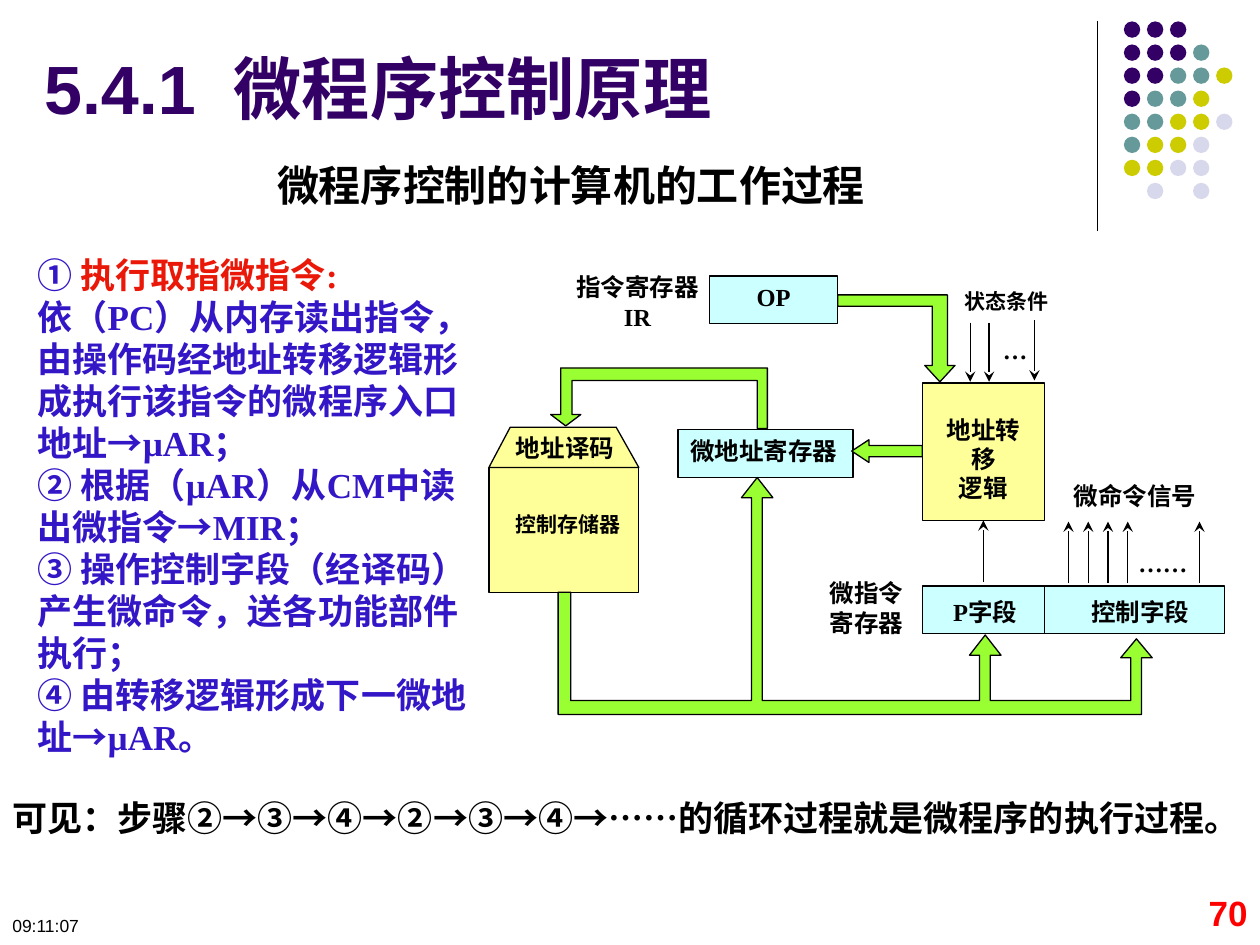
from lxml import etree
from pptx import Presentation
from pptx.dml.color import RGBColor
from pptx.enum.shapes import MSO_CONNECTOR, MSO_SHAPE
from pptx.enum.text import MSO_ANCHOR, PP_ALIGN
from pptx.oxml.ns import qn
from pptx.util import Inches, Pt

LEFT, CENTER, RIGHT = PP_ALIGN.LEFT, PP_ALIGN.CENTER, PP_ALIGN.RIGHT
TOP = MSO_ANCHOR.TOP
RECT, OVAL, ARROW = MSO_SHAPE.RECTANGLE, MSO_SHAPE.OVAL, MSO_SHAPE.LEFT_ARROW
STRAIGHT = MSO_CONNECTOR.STRAIGHT
SERIF, SANS = "Times New Roman", "Arial"
C = {
    "black": "000000", "purple": "330066", "teal": "669999", "olive": "CCCC00",
    "lilac": "D8D8EC", "blue": "3316C6", "red": "EA1808", "number": "FF0000",
    "cyan": "CCFFFF", "yellow": "FFFF99", "green": "99FF33",
}

prs = Presentation()
prs.slide_width, prs.slide_height = Inches(10), Inches(7.5)
U = prs.slide_width // 100
s = prs.slides.add_slide(prs.slide_layouts[5])


def write(tf, paras, size=14, color="black", align=CENTER, font=SERIF, bold=True, ins=(1, 0.5, 1, 0.5)):
    box = dict(zip(("margin_left", "margin_top", "margin_right", "margin_bottom"), (int(v * U) for v in ins)))
    for name, value in {**box, "word_wrap": True, "vertical_anchor": TOP}.items():
        setattr(tf, name, value)
    for i, runs in enumerate(paras):
        p = tf.add_paragraph() if i else tf.paragraphs[0]
        p.alignment = align
        for text, face, hue in [(runs, font, color)] if isinstance(runs, str) else runs:
            r = p.add_run()
            r.text = text
            for name, value in {"name": face, "size": Pt(size), "bold": bold}.items():
                setattr(r.font, name, value)
            r.font.color.rgb = RGBColor.from_string(C[hue])


def paint(sp, fill=None, line="black"):
    if fill:
        sp.shadow.inherit = False
        sp.fill.solid()
        sp.fill.fore_color.rgb = RGBColor.from_string(C[fill])
    else:
        etree.SubElement(sp._element.spPr, qn("a:effectLst"))
    if line:
        sp.line.color.rgb = RGBColor.from_string(C[line])
        sp.line.width = Pt(0.75)
    else:
        sp.line.fill.background()


title = s.shapes.title
for name, value in {"left": 2.5, "top": 3.2, "width": 60, "height": 7.1}.items():
    setattr(title, name, int(value * U))
write(title.text_frame, [[(t, SANS, "purple") for t in ("5.4.1", " ", "微程序控制原理")]], 39, align=LEFT)
title.text_frame.paragraphs[0].runs[1]._r.get_or_add_rPr().set("spc", "1080")

DOTS = ["ppp", "pppt", "pptto", "ptto", "ttool", "tool", "ooll", " l l"]
HUES = {"p": "purple", "t": "teal", "o": "olive", "l": "lilac"}
for row, marks in enumerate(DOTS):
    for col, mark in enumerate(marks):
        if mark in HUES:
            sp = s.shapes.add_shape(OVAL, int((89.2 + 1.83 * col) * U), int((1.7 + 1.83 * row) * U),
                                    int(1.3 * U), int(1.3 * U))
            paint(sp, HUES[mark], None)

STEPS = [
    [("① ", SERIF, "blue"), ("执行取指微指令:", SERIF, "red")],
    "依（PC）从内存读出指令，由操作码经地址转移逻辑形成执行该指令的微程序入口地址→µAR；",
    [("② 根据（", SANS, "blue"), ("µAR", SERIF, "blue"), ("）从", SANS, "blue"), ("CM", SERIF, "blue"),
     ("中读出微指令→", SANS, "blue"), ("MIR", SERIF, "blue"), ("；", SANS, "blue")],
    [("③ 操作控制字段（经译码）产生微命令，送各功能部件执行；", SANS, "blue")],
    "④ 由转移逻辑形成下一微地址→µAR。",
]
FLUSH = {"ins": (0, 0, 0, 0)}
SMALL = {**FLUSH, "size": 12}

trapezoid = [(40.5, 33.9), (48.9, 33.9), (50.7, 37.1), (38.8, 37.1)]
op_to_logic = [(74.6, 30.3), (73.4, 29), (74, 29), (74, 24.3), (66.5, 24.3), (66.5, 23.4),
               (75.2, 23.4), (75.2, 29), (75.8, 29)]
register_to_decoder = [(60.1, 34), (60.1, 30.2), (45.4, 30.2), (45.4, 32.9), (46.1, 32.9), (44.9, 33.8),
                       (43.7, 32.9), (44.5, 32.9), (44.5, 29.2), (60.9, 29.2), (60.9, 34)]
bus = [(45.3, 47), (45.3, 55.6)]
for x, tip, neck in [(60.1, 37.9, 39.5), (78.2, 50.4, 52), (90.2, 50.7, 52.2)]:
    bus += [(x - 0.45, 55.6), (x - 0.45, neck), (x - 1.25, neck), (x, tip), (x + 1.25, neck), (x + 0.4, neck)]
    bus.append((x + 0.4, 55.6 if x < 90 else 56.7))
bus += [(44.3, 56.7), (44.3, 47)]

boxes = {}
for key, at, fill, line, paras, fmt in [
    ("fields", (73.2, 46.5, 24, 3.8), "cyan", "black", [], {}),
    ("logic", (73.2, 30.4, 9.7, 10.9), "yellow", "black", ["地址转移", "逻辑"], {"ins": (1, 2.5, 1, 0.5)}),
    ("op", (56.3, 21.9, 10.2, 3.8), "cyan", "black", ["OP"], {}),
    ("register", (53.8, 34.1, 13.9, 3.8), "cyan", "black", ["微地址寄存器"], {"align": LEFT}),
    ("store", (38.8, 37.1, 11.9, 9.9), "yellow", "black", [], {}),
]:
    boxes[key] = s.shapes.add_shape(RECT, *(int(v * U) for v in at))
    paint(boxes[key], fill, line)
    write(boxes[key].text_frame, paras, **fmt)

sp = s.shapes.add_shape(ARROW, *(int(v * U) for v in (67.6, 34.9, 5.6, 1.8)))
sp.adjustments[0], sp.adjustments[1] = 0.5, 0.76
paint(sp, "green")

for points, fill in [(trapezoid, "yellow"), (op_to_logic, "green"), (register_to_decoder, "green"), (bus, "green")]:
    fb = s.shapes.build_freeform(int(points[0][0] * U), int(points[0][1] * U))
    fb.add_line_segments([(int(x * U), int(y * U)) for x, y in points[1:]], close=True)
    paint(fb.convert_to_shape(), fill)

lines = [(87.1, 1.7, 18.3, False), (82.9, 46.6, 50.3, False), (78.1, 46.2, 41.3, True)]
lines += [(84.8 + 1.57 * i, 46.3, 41.4, True) for i in range(4)] + [(95.2, 46.3, 41.4, True)]
lines += [(77, 25.6, 30.3, True), (78.5, 25.6, 30.3, True), (82.1, 25.4, 30.2, True)]
for x, start, end, head in lines:
    cx = s.shapes.add_connector(STRAIGHT, int(x * U), int(start * U), int(x * U), int(end * U))
    if x == 78.1:
        cx.end_connect(boxes["logic"], 2)
        cx.begin_x = cx.end_x
    paint(cx)
    if head:
        etree.SubElement(cx.line._get_or_add_ln(), qn("a:tailEnd"), type="stealth")

for at, paras, fmt in [
    ((21, 12.2, 50.1, 5.5), ["微程序控制的计算机的工作过程"], {"size": 24, "align": LEFT, "font": SANS}),
    ((2, 19.6, 36.2, 41.4), STEPS, {"size": 20, "align": LEFT, "color": "blue"}),
    ((0, 62.7, 100, 4.4), ["可见：步骤②→③→④→②→③→④→……的循环过程就是微程序的执行过程。"],
     {"size": 20, "align": LEFT}),
    ((40.7, 34.4, 8.3, 2.6), ["地址译码"], FLUSH),
    ((40.9, 40.6, 8.4, 3.1), ["控制存储器"], {**SMALL, "align": LEFT}),
    ((74.2, 47.4, 8, 2.7), ["P字段"], FLUSH),
    ((85.4, 47.4, 10.2, 2.7), ["控制字段"], FLUSH),
    ((89.3, 43.5, 6, 2.7), ["……"], FLUSH),
    ((85, 38.2, 10.2, 2.6), ["微命令信号"], FLUSH),
    ((45.5, 21.6, 10.2, 2.7), ["指令寄存器IR"], FLUSH),
    ((79.6, 26.6, 2.2, 2.7), ["…"], {**FLUSH, "align": LEFT}),
    ((76.1, 22.9, 7.6, 2.4), ["状态条件"], SMALL),
    ((65.7, 45.9, 6, 5.3), ["微指令", "寄存器"], {**FLUSH, "align": RIGHT}),
    ((0, 72.1, 23.3, 2.9), ["09:11:07"], {"size": 10, "align": LEFT, "font": SANS, "bold": False}),
    ((90.2, 70.3, 9.8, 4.7), ["70"], {"size": 20, "align": RIGHT, "font": SANS, "color": "number"}),
]:
    sp = s.shapes.add_textbox(*(int(v * U) for v in at))
    write(sp.text_frame, paras, **fmt)

prs.save("out.pptx")
